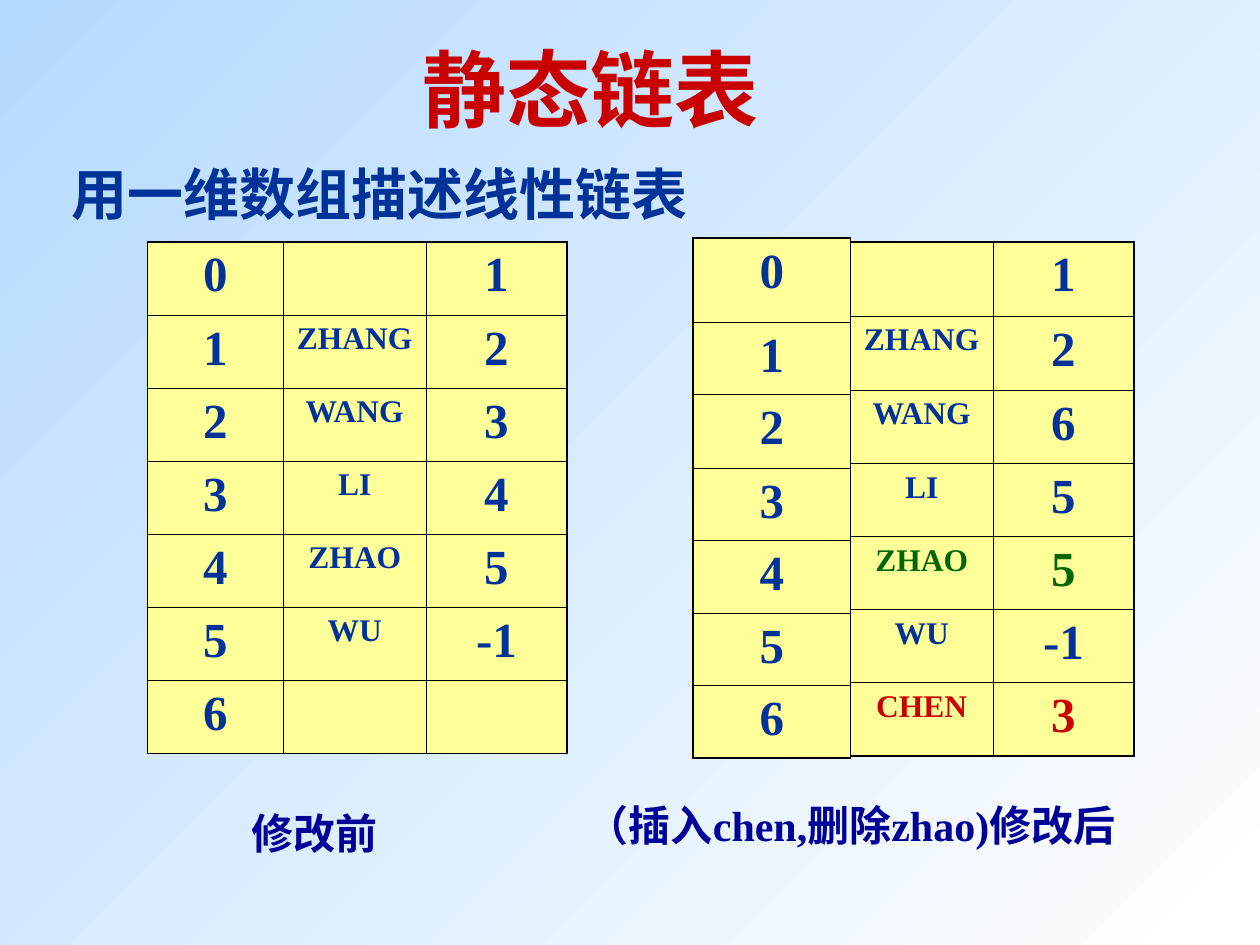
from lxml.etree import SubElement
from pptx import Presentation
from pptx.dml.color import RGBColor
from pptx.enum.text import MSO_ANCHOR, MSO_AUTO_SIZE, PP_ALIGN
from pptx.oxml.ns import qn
from pptx.util import Inches, Pt

FONT = "Times New Roman"
BLUE, NAVY, RED, GREEN = "003399", "000099", "C80000", "006600"
CELL_FILL, BORDER = "FFFF99", "000000"
OUTER, INNER = 1.08, 0.45  # border widths in points

INDEXES = [[str(number)] for number in range(7)]
BEFORE = [("", "1"), ("ZHANG", "2"), ("WANG", "3"), ("LI", "4"),
          ("ZHAO", "5"), ("WU", "-1"), ("", "")]
AFTER = [("", "1"), ("ZHANG", "2"), ("WANG", "6"), ("LI", "5"),
         ("ZHAO", "5"), ("WU", "-1"), ("CHEN", "3")]


def color(hex_value):
    return RGBColor.from_string(hex_value)


def format_text(paragraph, size, hex_value):
    paragraph.alignment = PP_ALIGN.CENTER
    for run in paragraph.runs:
        run.font.name = FONT
        run.font.size = Pt(size)
        run.font.bold = True
        run.font.color.rgb = color(hex_value)


def set_background(slide):
    fill = slide.background.fill
    fill.gradient()
    fill.gradient_angle = 315
    for stop, hex_value in zip(fill.gradient_stops, ("B5DAFF", "FFFFFF")):
        stop.color.rgb = color(hex_value)


def fill_text_shape(shape, text, size, hex_value):
    text_frame = shape.text_frame
    text_frame.text = text
    text_frame.word_wrap = True
    text_frame.auto_size = MSO_AUTO_SIZE.NONE
    text_frame.vertical_anchor = MSO_ANCHOR.TOP
    # The full width of the box keeps each text on one line
    text_frame.margin_left = text_frame.margin_right = 0
    format_text(text_frame.paragraphs[0], size, hex_value)


def add_title(slide, text, left, top, width, height):
    title = slide.shapes.title
    title.left, title.top = Inches(left), Inches(top)
    title.width, title.height = Inches(width), Inches(height)
    fill_text_shape(title, text, 48, RED)


def add_label(slide, text, left, top, width, height, size, hex_value):
    box = slide.shapes.add_textbox(
        Inches(left), Inches(top), Inches(width), Inches(height))
    fill_text_shape(box, text, size, hex_value)


def set_borders(cell, widths):
    """Draw the left, right, top and bottom borders, in that order."""
    properties = cell._tc.get_or_add_tcPr()
    for position, (side, width) in enumerate(zip("LRTB", widths)):
        line = SubElement(properties, qn(f"a:ln{side}"), w=str(Pt(width)))
        solid = SubElement(line, qn("a:solidFill"))
        SubElement(solid, qn("a:srgbClr"), val=BORDER)
        properties.insert(position, line)


def add_array(slide, values, left, top, column_widths, row_heights,
              row_colors=None):
    row_colors = row_colors or {}
    frame = slide.shapes.add_table(
        len(values), len(column_widths), Inches(left), Inches(top),
        Inches(sum(column_widths)), Inches(sum(row_heights)))
    table = frame.table
    table.first_row = table.horz_banding = False
    for column, width in zip(table.columns, column_widths):
        column.width = Inches(width)
    for row, height in zip(table.rows, row_heights):
        row.height = Inches(height)

    last_row, last_column = len(values) - 1, len(column_widths) - 1
    for r, row_values in enumerate(values):
        for c, value in enumerate(row_values):
            cell = table.cell(r, c)
            cell.text_frame.text = value
            # Names are set smaller than numbers
            format_text(cell.text_frame.paragraphs[0],
                        18 if value.isalpha() else 28,
                        row_colors.get(r, BLUE))
            cell.fill.solid()
            cell.fill.fore_color.rgb = color(CELL_FILL)
            on_edge = (c == 0, c == last_column, r == 0, r == last_row)
            set_borders(cell, [OUTER if edge else INNER for edge in on_edge])


def main():
    presentation = Presentation()
    presentation.slide_width = Inches(10)
    presentation.slide_height = Inches(7.5)
    slide = presentation.slides.add_slide(presentation.slide_layouts[5])
    set_background(slide)

    # Headings
    add_title(slide, "静态链表", 3.26, 0.25, 2.86, 0.9)
    add_label(slide, "用一维数组描述线性链表", 0.47, 1.22, 5.09, 0.64, 32, BLUE)

    # Data and link columns, after and before the change
    even_rows = [0.58] * 7
    add_array(slide, AFTER, 6.75, 1.92, [1.13, 1.12],
              [0.59] * 2 + [0.58] * 5, {4: GREEN, 6: RED})
    add_array(slide, BEFORE, 2.25, 1.92, [1.13, 1.12], even_rows)

    # Index columns
    add_array(slide, INDEXES, 1.17, 1.92, [1.08], even_rows)
    add_array(slide, INDEXES, 5.5, 1.89, [1.25],
              [0.67, 0.57, 0.59, 0.57, 0.58, 0.57, 0.58])

    # Captions
    add_label(slide, "修改前", 1.9, 6.36, 1.2, 0.5, 24, NAVY)
    add_label(slide, "（插入chen,删除zhao)修改后", 4.4, 6.3, 4.71, 0.5, 24, NAVY)

    presentation.save("out.pptx")


if __name__ == "__main__":
    main()
